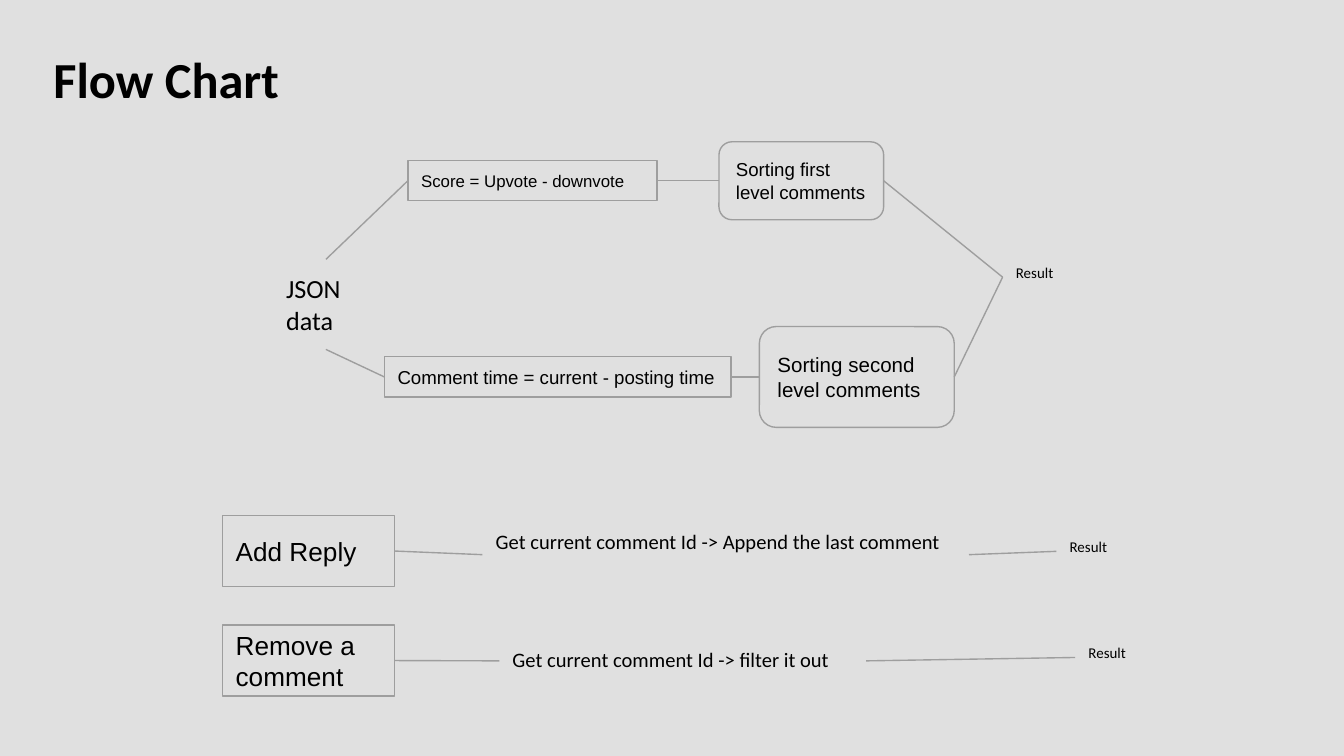
from lxml.etree import SubElement
from pptx import Presentation
from pptx.dml.color import RGBColor
from pptx.enum.shapes import MSO_CONNECTOR as Connector, MSO_SHAPE as Shape
from pptx.enum.text import MSO_ANCHOR as Anchor, MSO_AUTO_SIZE as AutoSize, PP_ALIGN as Align
from pptx.oxml.ns import qn
from pptx.util import Pt

PX = 4572  # EMU per px, 200 px to the inch
SLIDE_SIZE = (2000, 1125)
MARGIN = 20
GREY = RGBColor(0xE0, 0xE0, 0xE0)
LINE = RGBColor(0x9E, 0x9E, 0x9E)
BLACK = RGBColor(0, 0, 0)
TOP, LEFT, BOTTOM, RIGHT = range(4)

# name: (text, font size, (left, top, width, height))
LABELS = {
    "title": ("Flow Chart", 27, (60, 52, 792, 132)),
    "data": ("JSON data", 14, (406, 386, 158, 134)),
    "sort result": ("Result", 8, (1492, 379, 102, 67)),
    "append": ("Get current comment Id -> Append the last comment", 11, (718, 769, 724, 113)),
    "filter": ("Get current comment Id -> filter it out", 11, (743, 945, 546, 77)),
    "add result": ("Result", 8, (1572, 787, 102, 67)),
    "remove result": ("Result", 8, (1600, 945, 102, 67)),
}
RECTANGLES = {
    "score": ("Score = Upvote - downvote", 9, (607, 239, 371, 60)),
    "time": ("Comment time = current - posting time", 10, (572, 531, 516, 60)),
    "add": ("Add Reply", 14, (331, 767, 256, 106)),
    "remove": ("Remove a comment", 14, (331, 930, 256, 106)),
}
ROUNDED = {
    "first level": ("Sorting first level comments", 10, (1070, 211, 245, 116)),
    "second level": ("Sorting second level comments", 11, (1130, 486, 290, 150)),
}
# (from, side, to, side)
LINKS = [
    ("data", TOP, "score", LEFT),
    ("data", BOTTOM, "time", LEFT),
    ("score", RIGHT, "first level", LEFT),
    ("time", RIGHT, "second level", LEFT),
    ("first level", RIGHT, "sort result", LEFT),
    ("second level", RIGHT, "sort result", LEFT),
    ("add", RIGHT, "append", LEFT),
    ("append", RIGHT, "add result", LEFT),
    ("remove", RIGHT, "filter", LEFT),
    ("filter", RIGHT, "remove result", LEFT),
]


def write(box, text, size, font, anchor):
    frame = box.text_frame
    frame.text = text
    frame.word_wrap = True
    frame.vertical_anchor = anchor
    frame.margin_left = frame.margin_right = MARGIN * PX
    frame.margin_top = frame.margin_bottom = MARGIN * PX
    para = frame.paragraphs[0]
    para.alignment = Align.LEFT
    style = para.runs[0].font
    style.name, style.size, style.color.rgb = font, Pt(size), BLACK


def add_label(slide, text, size, place):
    box = slide.shapes.add_textbox(*(n * PX for n in place))
    write(box, text, size, "Calibri", Anchor.TOP)
    box.text_frame.auto_size = AutoSize.SHAPE_TO_FIT_TEXT
    return box


def add_box(slide, kind, text, size, place):
    box = slide.shapes.add_shape(kind, *(n * PX for n in place))
    box.shadow.inherit = False
    box.fill.solid()
    box.fill.fore_color.rgb = GREY
    box.line.color.rgb = LINE
    box.line.width = Pt(0.75)
    write(box, text, size, "Arial", Anchor.MIDDLE)
    return box


def add_link(slide, start, start_side, end, end_side):
    link = slide.shapes.add_connector(Connector.STRAIGHT, 0, 0, 0, 0)
    link.begin_connect(start, start_side)
    link.end_connect(end, end_side)
    link.line.color.rgb = LINE
    link.line.width = Pt(0.75)
    SubElement(link._element.spPr, qn("a:effectLst"))


deck = Presentation()
deck.slide_width, deck.slide_height = (n * PX for n in SLIDE_SIZE)
page = deck.slides.add_slide(deck.slide_layouts[6])
page.background.fill.solid()
page.background.fill.fore_color.rgb = GREY

# Labels and boxes
nodes = {name: add_label(page, *label) for name, label in LABELS.items()}
nodes["title"].text_frame.paragraphs[0].runs[0].font.bold = True
for kind, boxes in ((Shape.RECTANGLE, RECTANGLES), (Shape.ROUNDED_RECTANGLE, ROUNDED)):
    for name, content in boxes.items():
        nodes[name] = add_box(page, kind, *content)

# Lines between them
for start, start_side, end, end_side in LINKS:
    add_link(page, nodes[start], start_side, nodes[end], end_side)

deck.save("out.pptx")
